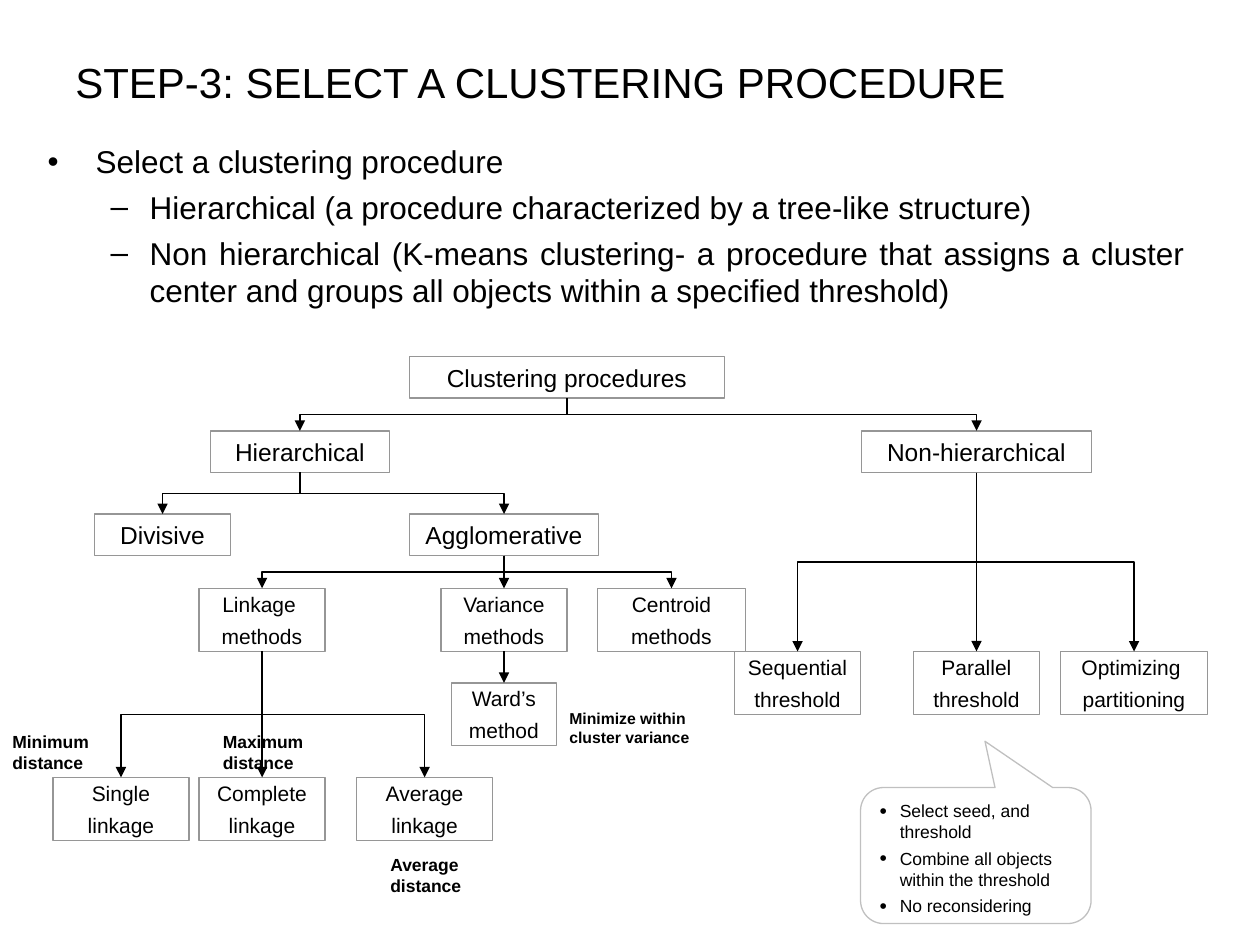
from lxml import etree
from pptx import Presentation
from pptx import util as u
from pptx.dml.color import RGBColor
from pptx.enum import shapes, text
from pptx.oxml.ns import qn

In = u.Inches
AL, ANC = text.PP_ALIGN, text.MSO_ANCHOR

# name: (text, centre x, top, width, parent)
NODES = {
    "root": ("Clustering procedures", 4.5, 2.83, 2.5, None),
    "hier": ("Hierarchical", 2.38, 3.42, 1.42, "root"),
    "non": ("Non-hierarchical", 7.75, 3.42, 1.83, "root"),
    "div": ("Divisive", 1.29, 4.08, 1.08, "hier"),
    "agg": ("Agglomerative", 4, 4.08, 1.5, "hier"),
    "link": ("Linkage \nmethods", 2.08, 4.67, 1, "agg"),
    "var": ("Variance\nmethods", 4, 4.67, 1, "agg"),
    "cent": ("Centroid\nmethods", 5.33, 4.67, 1.17, "agg"),
    "ward": ("Ward’s\nmethod", 4, 5.42, 0.83, "var"),
    "single": ("Single\nlinkage", 0.96, 6.17, 1.08, "link"),
    "complete": ("Complete\nlinkage", 2.08, 6.17, 1, "link"),
    "average": ("Average\nlinkage", 3.37, 6.17, 1.08, "link"),
    "seq": ("Sequential\nthreshold", 6.33, 5.17, 1, "non"),
    "par": ("Parallel\nthreshold", 7.75, 5.17, 1, "non"),
    "opt": ("Optimizing \npartitioning", 9, 5.17, 1.17, "non"),
}

# text, left, top, width, height, size, wrap
LABELS = [
    ("Minimize within cluster variance", 4.42, 5.58, 1.42, 0.4, 9, True),
    ("Minimum\ndistance", 0, 5.75, 0.84, 0.44, 10, False),
    ("Maximum\ndistance", 1.67, 5.75, 0.87, 0.44, 10, False),
    ("Average\ndistance", 3, 6.73, 0.76, 0.44, 10, False),
]


def rgb(value):
    return RGBColor.from_string(value)


class Deck:
    font, ink, box_line, note_line = "Arial", "000000", "969696", "C0C0C0"
    line_width = u.Pt(0.75)

    def __init__(self, width, height):
        self.prs = Presentation()
        self.prs.slide_width, self.prs.slide_height = In(width), In(height)
        self.s = self.prs.slides.add_slide(self.prs.slide_layouts[6])

    def fill_text(self, sp, lines, size, bold=False, wrap=True, anchor=ANC.TOP, **fmt):
        tf = sp.text_frame
        tf.word_wrap, tf.vertical_anchor = wrap, anchor
        for i, line in enumerate(lines):
            p = tf.paragraphs[0] if i == 0 else tf.add_paragraph()
            for name, value in {"alignment": AL.LEFT, **fmt}.items():
                setattr(p, name, value)
            r = p.add_run()
            r.text = line
            font = {"name": self.font, "size": u.Pt(size), "bold": bold}
            for name, value in font.items():
                setattr(r.font, name, value)
            r.font.color.rgb = rgb(self.ink)
        return tf.paragraphs

    def bullet(self, p, char, left, hang, scale=100):
        """Give a paragraph a bullet, with its text at left and the bullet hung before it."""
        pPr = p._p.get_or_add_pPr()
        pPr.set("marL", str(In(left)))
        pPr.set("indent", str(-In(hang)))
        color = etree.SubElement(pPr, qn("a:buClr"))
        etree.SubElement(color, qn("a:srgbClr"), val=self.ink)
        etree.SubElement(pPr, qn("a:buSzPct"), val=str(scale * 1000))
        etree.SubElement(pPr, qn("a:buFont"), typeface=self.font)
        etree.SubElement(pPr, qn("a:buChar"), char=char)

    def textbox(self, at, lines, size, **fmt):
        sp = self.s.shapes.add_textbox(*map(In, at))
        return self.fill_text(sp, lines, size, **fmt)

    def outline(self, kind, at, color):
        sp = self.s.shapes.add_shape(kind, *map(In, at))
        sp.shadow.inherit = False
        sp.fill.background()
        sp.line.color.rgb, sp.line.width = rgb(color), self.line_width
        return sp

    def node(self, label, center, top, width):
        """Draw a box of the tree and return its bottom centre."""
        lines = label.split("\n")
        height, size, gap = (0.33, 14, 4.4) if len(lines) == 1 else (0.5, 12, 3.7)
        sp = self.outline(shapes.MSO_SHAPE.RECTANGLE,
                          (center - width / 2, top, width, height), self.box_line)
        self.fill_text(sp, lines, size, wrap=False, anchor=ANC.MIDDLE,
                       alignment=AL.CENTER, space_before=u.Pt(gap))
        return center, top + height

    def arrow(self, x1, y1, x2, y2):
        """Draw a downward arrow; an elbow, turned to leave vertically, if x changes."""
        kind, turn = shapes.MSO_CONNECTOR.STRAIGHT, 0
        dx, dy = x2 - x1, y2 - y1
        if dx:
            kind, turn = shapes.MSO_CONNECTOR.ELBOW, 270 if dx > 0 else 90
            cx, cy = (x1 + x2) / 2, (y1 + y2) / 2
            half_w, half_h = dy / 2 * (1 if dx > 0 else -1), abs(dx) / 2
            x1, y1, x2, y2 = cx + half_w, cy - half_h, cx - half_w, cy + half_h
        c = self.s.shapes.add_connector(kind, *map(In, (x1, y1, x2, y2)))
        c.line.color.rgb, c.line.width = rgb(self.ink), self.line_width
        spPr = c._element.spPr
        if turn:
            spPr.find(qn("a:xfrm")).set("rot", str(turn * 60000))
        etree.SubElement(spPr.find(qn("a:ln")), qn("a:tailEnd"), type="triangle")
        etree.SubElement(spPr, qn("a:effectLst"))

    def callout(self, at, adjustments, lines):
        sp = self.outline(shapes.MSO_SHAPE.ROUNDED_RECTANGULAR_CALLOUT, at, self.note_line)
        for i, value in enumerate(adjustments):
            sp.adjustments[i] = value
        for p in self.fill_text(sp, lines, 10, space_before=u.Pt(3.1)):
            self.bullet(p, "•", 0.16, 0.16, 120)


def main():
    d = Deck(10, 7.5)
    d.textbox((0.5, 0.3, 9, 0.7), ["STEP-3: SELECT A CLUSTERING PROCEDURE"], 24,
              anchor=ANC.MIDDLE)
    first, *rest = d.textbox((0.28, 1.08, 9.22, 1.67), [
        "Select a clustering procedure",
        "Hierarchical (a procedure characterized by a tree-like structure)",
        "Non hierarchical (K-means clustering- a procedure that assigns a cluster "
        "center and groups all objects within a specified threshold)",
    ], 18, alignment=AL.JUSTIFY, space_before=u.Pt(4.5))
    d.bullet(first, "•", 0.38, 0.38)
    for p in rest:
        p.level = 1
        d.bullet(p, "–", 0.81, 0.31)

    bottoms = {}
    for name, (label, center, top, width, parent) in NODES.items():
        bottoms[name] = d.node(label, center, top, width)
        if parent:
            d.arrow(*bottoms[parent], center, top)

    d.callout((6.83, 6.25, 1.83, 1.08), (0.04, -0.84, 0.17), [
        "Select seed, and threshold",
        "Combine all objects within the threshold",
        "No reconsidering",
    ])
    for label, *at, size, wrap in LABELS:
        d.textbox(at, label.split("\n"), size, bold=True, wrap=wrap)
    d.prs.save("out.pptx")


if __name__ == "__main__":
    main()
